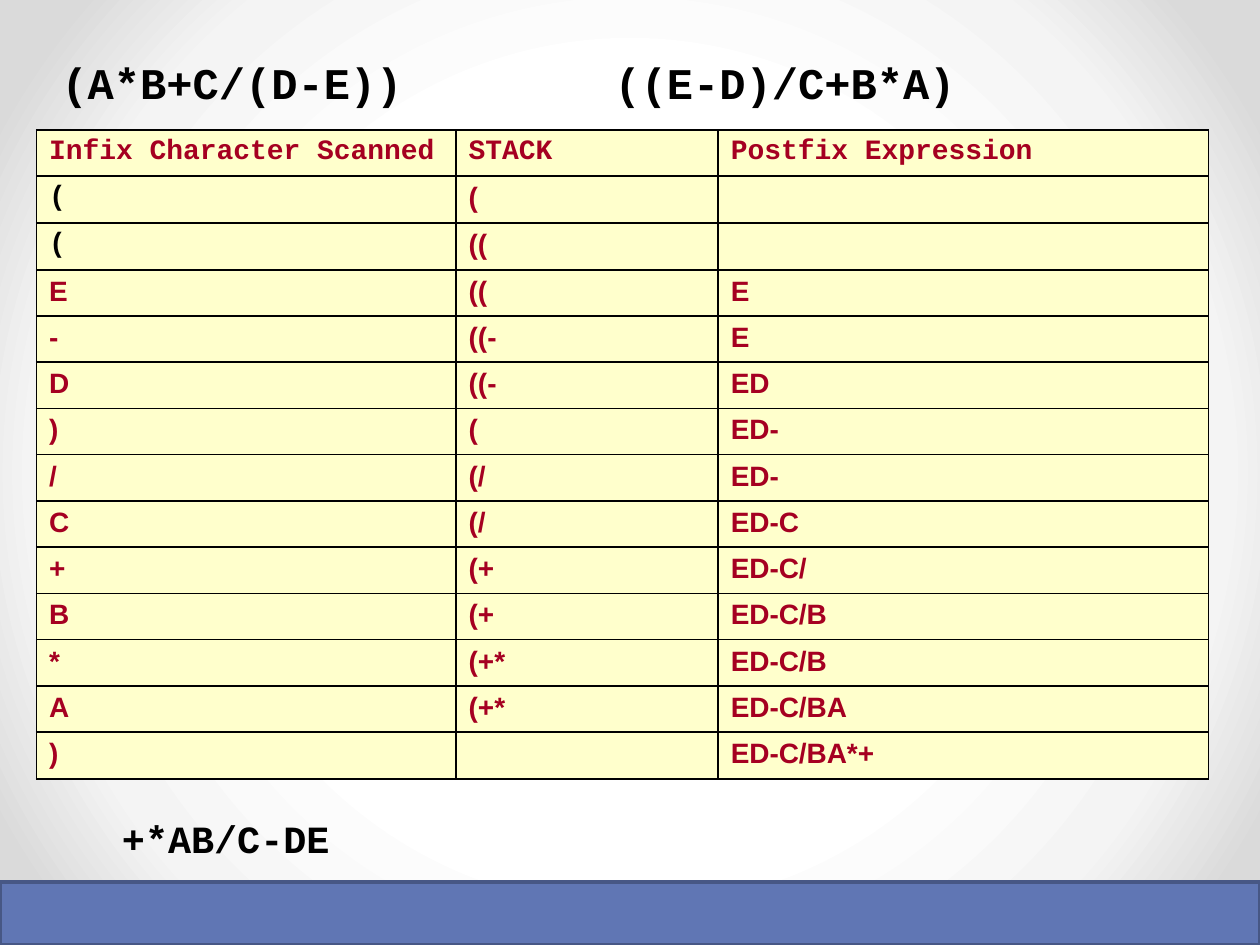
from lxml import etree
from pptx import Presentation
from pptx.dml.color import RGBColor
from pptx.enum.shapes import MSO_SHAPE
from pptx.enum.text import MSO_AUTO_SIZE, PP_ALIGN
from pptx.oxml import parse_xml
from pptx.oxml.ns import nsdecls, qn
from pptx.util import Inches, Pt

BLACK = RGBColor(0x00, 0x00, 0x00)
RED = RGBColor(0xA5, 0x00, 0x21)
CREAM = RGBColor(0xFF, 0xFF, 0xCC)
BLUE = RGBColor(0x60, 0x76, 0xB4)
DARK_BLUE = RGBColor(0x47, 0x57, 0x85)
MONO, SANS = "Courier New", "Arial"


def add_run(p, text, size, name, color):
    r = p.add_run()
    r.text = text
    r.font.size = Pt(size)
    r.font.name = name
    r.font.bold = True
    r.font.color.rgb = color


def add_border(cell):
    tcPr = cell._tc.get_or_add_tcPr()
    for i, side in enumerate(("lnL", "lnR", "lnT", "lnB")):
        tcPr.insert(i, parse_xml(
            f'<a:{side} {nsdecls("a")} w="12700"><a:solidFill>'
            f'<a:srgbClr val="{BLACK}"/></a:solidFill></a:{side}>'))


prs = Presentation()
prs.slide_width, prs.slide_height = Inches(10), Inches(7.5)
s = prs.slides.add_slide(prs.slide_layouts[6])

# Radial background, white in the middle
s.background.fill.gradient()
grad = next(s._element.iter(qn("a:gradFill")))
for child in list(grad):
    grad.remove(child)
stops = etree.SubElement(grad, qn("a:gsLst"))
for pos, color in ((50, "FFFFFF"), (76, "F4F4F4"), (92, "DADADA")):
    gs = etree.SubElement(stops, qn("a:gs"), pos=str(pos * 1000))
    etree.SubElement(gs, qn("a:srgbClr"), val=color)
radial = etree.SubElement(grad, qn("a:path"), {"path": "circle"})
etree.SubElement(radial, qn("a:fillToRect"), l="50000", t="50000", r="50000", b="50000")

# Footer band
band = s.shapes.add_shape(MSO_SHAPE.RECTANGLE, Inches(0), Inches(7), Inches(10), Inches(0.5))
band.shadow.inherit = False
band.fill.solid()
band.fill.fore_color.rgb = BLUE
band.line.color.rgb = DARK_BLUE
band.line.width = Pt(2.25)

# Infix to postfix table
rows = [
    ("Infix Character Scanned", "STACK", "Postfix Expression"),
    ("(", "(", ""),
    ("(", "((", ""),
    ("E", "((", "E"),
    ("-", "((-", "E"),
    ("D", "((-", "ED"),
    (")", "(", "ED-"),
    ("/", "(/", "ED-"),
    ("C", "(/", "ED-C"),
    ("+", "(+", "ED-C/"),
    ("B", "(+", "ED-C/B"),
    ("*", "(+*", "ED-C/B"),
    ("A", "(+*", "ED-C/BA"),
    (")", "", "ED-C/BA*+"),
]
table = s.shapes.add_table(len(rows), 3, Inches(0.29), Inches(1.03),
                           Inches(9.3), Inches(5.14)).table
table.first_row = table.horz_banding = False
for column, width in zip(table.columns, (3.33, 2.08, 3.89)):
    column.width = Inches(width)

for i, row in enumerate(rows):
    for j, text in enumerate(row):
        cell = table.cell(i, j)
        cell.fill.solid()
        cell.fill.fore_color.rgb = CREAM
        add_border(cell)
        p = cell.text_frame.paragraphs[0]
        if not text:
            # Keeps the empty line as tall as the others
            etree.SubElement(p._p, qn("a:endParaRPr"), sz="1600")
            continue
        p.alignment = PP_ALIGN.LEFT if j == 0 and i < 2 else PP_ALIGN.JUSTIFY
        open_paren = j == 0 and text == "("
        add_run(p, text, 16, MONO if i == 0 or open_paren else SANS,
                BLACK if open_paren else RED)

# Infix, reversed infix and resulting prefix expressions
for text, left, top, width, height, size, align in (
    ("((E-D)/C+B*A)", 3.83, 0.39, 4.8, 0.52, 25, PP_ALIGN.CENTER),
    ("+*AB/C-DE", 0.87, 6.42, 2.46, 0.47, 22, PP_ALIGN.JUSTIFY),
    ("(A*B+C/(D-E))", 0.39, 0.39, 3.36, 0.52, 25, PP_ALIGN.JUSTIFY),
):
    tf = s.shapes.add_textbox(Inches(left), Inches(top), Inches(width), Inches(height)).text_frame
    tf.word_wrap = True
    tf.auto_size = MSO_AUTO_SIZE.SHAPE_TO_FIT_TEXT
    p = tf.paragraphs[0]
    p.alignment = align
    add_run(p, text, size, MONO, BLACK)

prs.save("out.pptx")
